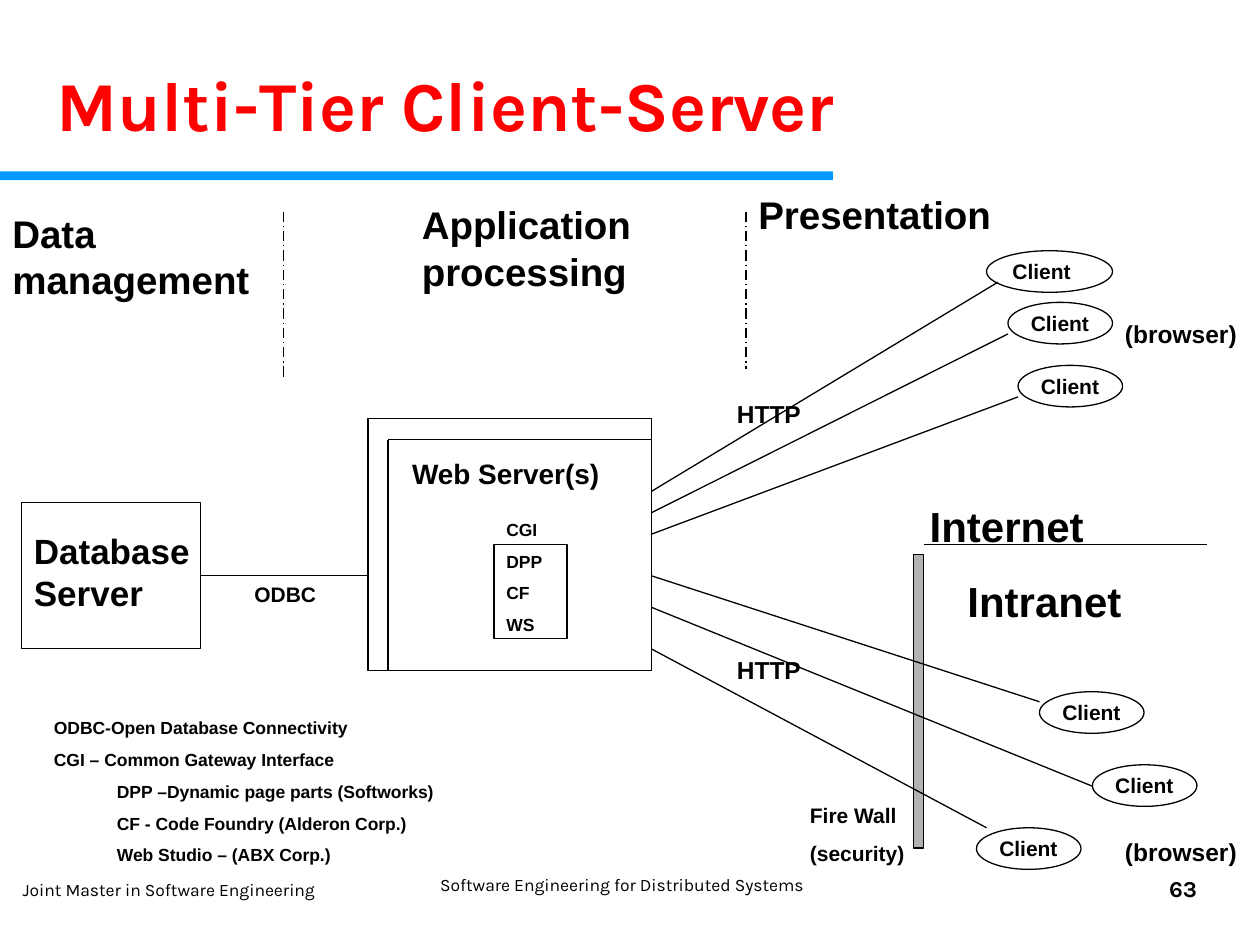
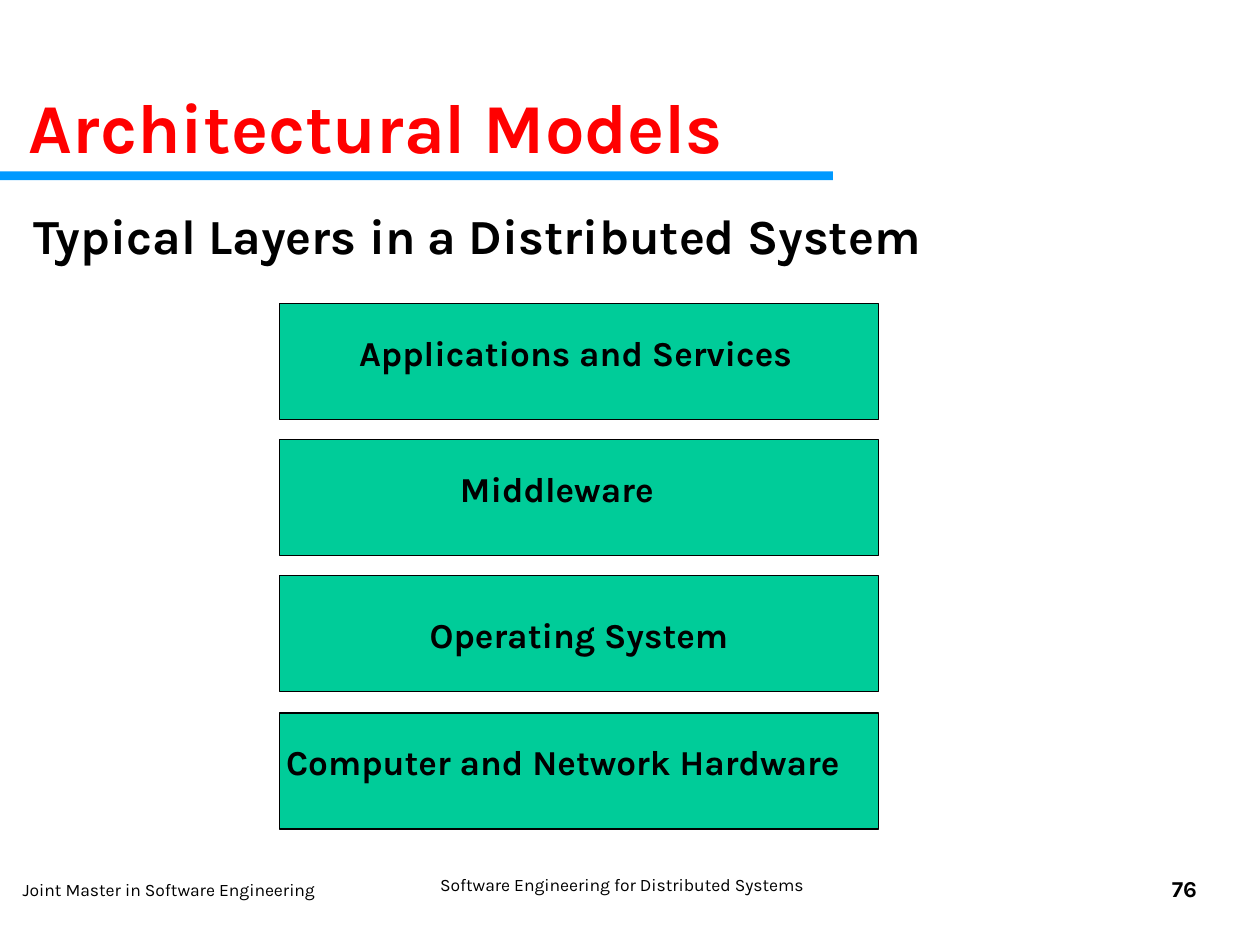
from dataclasses import dataclass

from lxml.etree import SubElement
from pptx import Presentation
from pptx.dml.color import RGBColor
from pptx.enum.dml import MSO_LINE_DASH_STYLE as Dash
from pptx.enum.shapes import MSO_CONNECTOR as Connector
from pptx.enum.shapes import MSO_SHAPE as Preset
from pptx.enum.text import MSO_ANCHOR as Anchor
from pptx.enum.text import MSO_AUTO_SIZE as AutoSize
from pptx.enum.text import PP_ALIGN as Align
from pptx.oxml.ns import qn
from pptx.util import Pt

EMU_PER_PX = 9144
LINE_WIDTH = Pt(0.75)
TITLE_FONT = "Karla"
DIAGRAM_FONT = "Arial"
COLORS = {
    "text": "000000",
    "title": "FF0000",
    "band": "0099FF",
    "layer": "00CC99",
    "firewall": "B2B2B2",
}


@dataclass(frozen=True)
class Box:
    left: int
    top: int
    width: int
    height: int

    def emu(self) -> tuple[int, ...]:
        return tuple(px(n) for n in (self.left, self.top, self.width, self.height))


@dataclass(frozen=True)
class Style:
    size: int
    font: str = DIAGRAM_FONT
    bold: bool = True
    color: str = "text"
    align: Align = Align.LEFT
    anchor: Anchor = Anchor.TOP
    margins: tuple[int, int, int, int] = (10, 5, 10, 5)
    space_before: float = 0


@dataclass(frozen=True)
class Label:
    text: str
    box: Box
    size: int


@dataclass(frozen=True)
class Client:
    box: Box
    server_y: int
    line_end: tuple[int, int]


@dataclass(frozen=True)
class Layer:
    name: str
    indent: int
    drop: int


NO_MARGINS = (0, 0, 0, 0)
TITLE = Style(40, TITLE_FONT, color="title")
SUBTITLE = Style(28, TITLE_FONT, anchor=Anchor.MIDDLE, margins=NO_MARGINS)
FOOTER_LEFT = Style(10, TITLE_FONT, bold=False, margins=NO_MARGINS)
FOOTER_CENTER = Style(10, TITLE_FONT, bold=False, align=Align.CENTER, margins=NO_MARGINS)
PAGE_NUMBER = Style(13, TITLE_FONT, align=Align.RIGHT, margins=NO_MARGINS)
CLIENT = Style(12, anchor=Anchor.MIDDLE, margins=(6, 0, 0, 0))
SMALL_LIST = Style(10, space_before=6.2)

SERVER_RIGHT = 517
LABELS = [
    Label("Data management", Box(0, 162, 225, 84), 22),
    Label("Application processing", Box(325, 155, 230, 84), 22),
    Label("Presentation", Box(592, 147, 225, 47), 22),
    Label("ODBC", Box(192, 457, 75, 30), 12),
    Label("CGI", Box(392, 407, 67, 27), 10),
    Label("Internet", Box(728, 392, 181, 50), 24),
    Label("Intranet", Box(758, 452, 175, 50), 24),
    Label("HTTP", Box(575, 312, 100, 34), 14),
    Label("HTTP", Box(575, 515, 100, 34), 14),
    Label("(browser)", Box(883, 248, 117, 34), 14),
    Label("(browser)", Box(883, 659, 117, 34), 14),
]
CLIENTS = [
    Client(Box(783, 199, 100, 33), 390, (792, 224)),
    Client(Box(800, 240, 83, 33), 407, (800, 265)),
    Client(Box(808, 290, 83, 33), 424, (808, 315)),
    Client(Box(825, 549, 83, 33), 457, (825, 557)),
    Client(Box(867, 607, 83, 33), 482, (867, 624)),
    Client(Box(775, 657, 83, 33), 515, (783, 657)),
]
ABBREVIATIONS = [
    "ODBC-Open Database Connectivity",
    "CGI – Common Gateway Interface",
]
SERVER_PRODUCTS = [
    "DPP –Dynamic page parts (Softworks)",
    "CF - Code Foundry (Alderon Corp.)",
    "Web Studio – (ABX Corp.)",
]
LAYERS = [
    Layer("Applications and Services", 63, 22),
    Layer("Middleware", 143, 22),
    Layer("Operating System", 119, 30),
    Layer("Computer and Network Hardware", 5, 22),
]


def px(length: int) -> int:
    return length * EMU_PER_PX


def rgb(name: str) -> RGBColor:
    return RGBColor.from_string(COLORS[name])


def write(shape, lines: list[str], style: Style) -> None:
    frame = shape.text_frame
    frame.text = "\n".join(lines)
    frame.word_wrap = True
    frame.auto_size = AutoSize.NONE
    frame.vertical_anchor = style.anchor
    margins = [px(margin) for margin in style.margins]
    frame.margin_left, frame.margin_top, frame.margin_right, frame.margin_bottom = margins
    for index, paragraph in enumerate(frame.paragraphs):
        paragraph.alignment = style.align
        paragraph.space_before = Pt(style.space_before if index else 0)
        for run in paragraph.runs:
            run.font.name = style.font
            run.font.size = Pt(style.size)
            run.font.bold = style.bold
            run.font.color.rgb = rgb(style.color)


def add_text(slide, box: Box, lines: list[str], style: Style):
    text_box = slide.shapes.add_textbox(*box.emu())
    write(text_box, lines, style)
    return text_box


def add_preset(slide, box: Box, preset: Preset = Preset.RECTANGLE,
               fill: str | None = None, outlined: bool = True):
    shape = slide.shapes.add_shape(preset, *box.emu())
    shape.shadow.inherit = False
    if fill:
        shape.fill.solid()
        shape.fill.fore_color.rgb = rgb(fill)
    else:
        shape.fill.background()
    if outlined:
        shape.line.color.rgb = rgb("text")
        shape.line.width = LINE_WIDTH
    else:
        shape.line.fill.background()
    return shape


def add_line(slide, start: tuple[int, int], end: tuple[int, int],
             dash: Dash | None = None):
    points = [px(length) for length in (*start, *end)]
    line = slide.shapes.add_connector(Connector.STRAIGHT, *points)
    line.line.color.rgb = rgb("text")
    line.line.width = LINE_WIDTH
    if dash:
        line.line.dash_style = dash
    SubElement(line._element.spPr, qn("a:effectLst"))
    return line


def add_slide(presentation, title: str, left: int, top: int, number: int):
    slide = presentation.slides.add_slide(presentation.slide_layouts[5])
    add_preset(slide, Box(0, 136, 661, 7), fill="band", outlined=False)
    placeholder = slide.shapes.title
    placeholder.left, placeholder.top, placeholder.width, placeholder.height = Box(
        left, top, 756, 77).emu()
    write(placeholder, [title], TITLE)
    add_text(slide, Box(18, 698, 317, 52),
             ["Joint Master in Software Engineering"], FOOTER_LEFT)
    add_text(slide, Box(335, 694, 317, 41),
             ["Software Engineering for Distributed Systems"], FOOTER_CENTER)
    add_text(slide, Box(717, 694, 233, 41), [str(number)], PAGE_NUMBER)
    return slide


def draw_servers(slide) -> None:
    database = add_preset(slide, Box(17, 399, 142, 116))
    write(database, ["Database Server"], Style(20, margins=(10, 21, 0, 5)))
    web_server = add_preset(slide, Box(292, 332, 225, 200))
    write(web_server, ["Web Server(s)"], Style(16, margins=(35, 30, 10, 5)))
    add_line(slide, (308, 349), (308, 532))
    add_line(slide, (308, 349), (SERVER_RIGHT, 349))
    extensions = add_preset(slide, Box(392, 432, 58, 75))
    write(extensions, ["DPP", "CF", "WS"], SMALL_LIST)
    odbc_link = add_line(slide, (159, 457), (292, 457))
    odbc_link.begin_connect(database, 3)


def draw_multi_tier(presentation) -> None:
    slide = add_slide(presentation, "Multi-Tier Client-Server", 35, 44, 63)
    draw_servers(slide)
    add_preset(slide, Box(725, 440, 8, 233), fill="firewall")
    add_text(slide, Box(633, 632, 133, 61), ["Fire Wall", "(security)"],
             Style(12, space_before=7.5))
    add_line(slide, (733, 432), (958, 432))
    for x, bottom in ((225, 301), (592, 293)):
        add_line(slide, (x, 168), (x, bottom), Dash.LONG_DASH_DOT)
    for client in CLIENTS:
        ellipse = add_preset(slide, client.box, Preset.OVAL)
        write(ellipse, ["Client"], CLIENT)
        add_line(slide, (SERVER_RIGHT, client.server_y), client.line_end)
    for label in LABELS:
        add_text(slide, label.box, [label.text], Style(label.size))
    glossary = add_text(slide, Box(33, 564, 417, 128),
                        ABBREVIATIONS + SERVER_PRODUCTS, SMALL_LIST)
    for paragraph in glossary.text_frame.paragraphs[len(ABBREVIATIONS):]:
        paragraph._p.get_or_add_pPr().set("marL", str(px(50)))


def draw_layers(presentation) -> None:
    slide = add_slide(presentation, "Architectural Models", 13, 61, 76)
    add_text(slide, Box(27, 139, 890, 95),
             ["Typical Layers in a Distributed System"], SUBTITLE)
    first_top, last_top = 241, 566
    for index, layer in enumerate(LAYERS):
        top = first_top + (last_top - first_top) * index // (len(LAYERS) - 1)
        rectangle = add_preset(slide, Box(222, top, 475, 92), fill="layer")
        write(rectangle, [layer.name],
              Style(20, TITLE_FONT, margins=(layer.indent, layer.drop, 0, 5)))


def main() -> None:
    presentation = Presentation()
    presentation.slide_width = px(1000)
    presentation.slide_height = px(750)
    draw_multi_tier(presentation)
    draw_layers(presentation)
    presentation.save("out.pptx")


if __name__ == "__main__":
    main()
